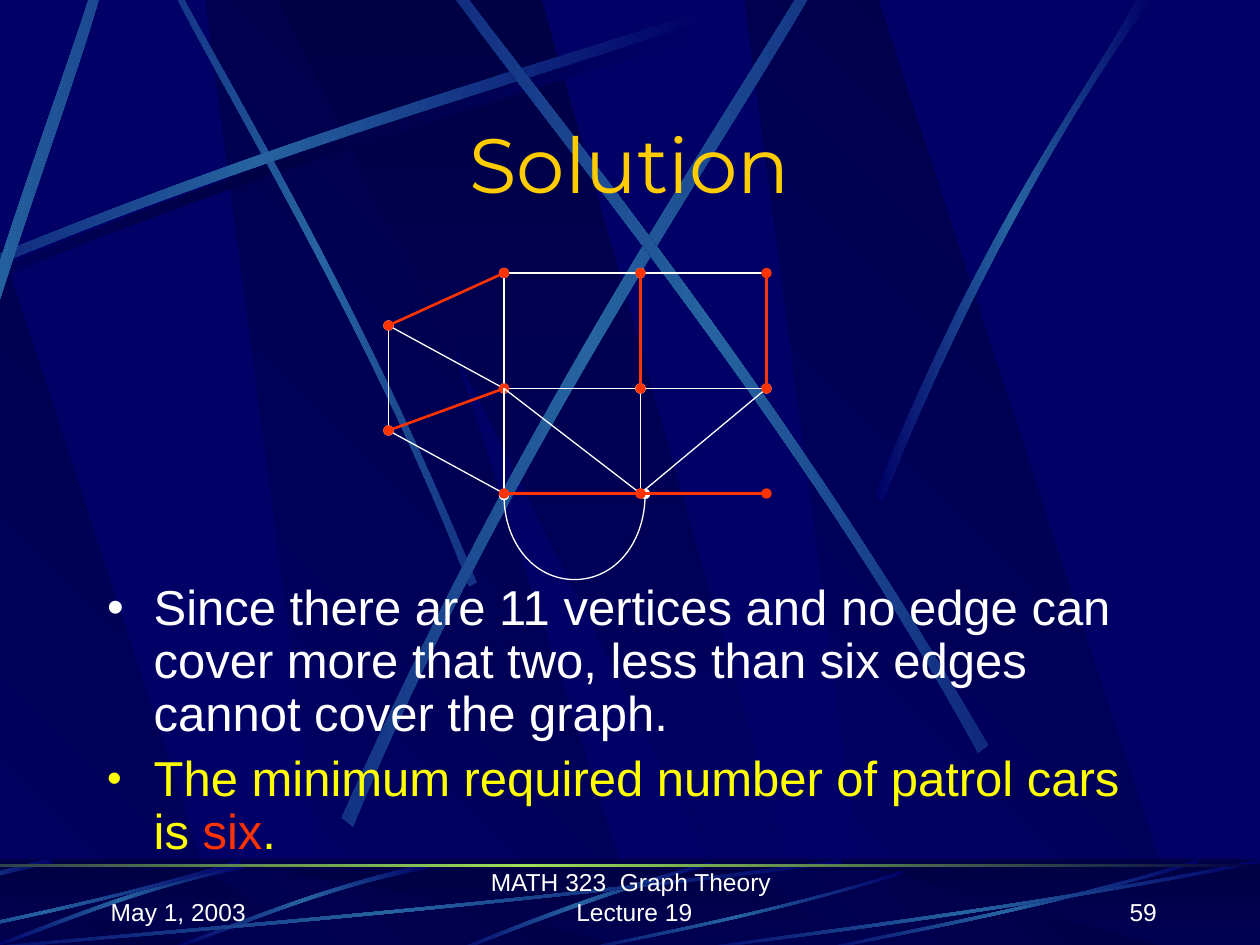
from dataclasses import dataclass
from math import cos, radians, sin

from lxml import etree
from pptx import Presentation
from pptx.dml.color import RGBColor
from pptx.enum.shapes import MSO_CONNECTOR as CONNECTOR, MSO_SHAPE as SHAPE
from pptx.enum.text import MSO_ANCHOR as ANCHOR, MSO_AUTO_SIZE as AUTO_SIZE, PP_ALIGN as ALIGN
from pptx.oxml.ns import qn
from pptx.util import Inches, Pt


@dataclass(frozen=True)
class Theme:
    navy: str = "000066"
    dark: str = "000044"
    ray: str = "2663A0"
    glow: str = "9CE157"
    gold: str = "FFCC00"
    white: str = "FFFFFF"
    yellow: str = "FFFF00"
    red: str = "FF3300"
    title_font: str = "Montserrat"
    text_font: str = "Arial"
    title_size: int = 44
    body_size: int = 28
    footer_size: int = 14


theme = Theme()
rgb = RGBColor.from_string


def paint(shape, colors, angle=0):
    """Fill a backdrop shape with evenly spaced gradient colours, without outline."""
    shape.shadow.inherit = False
    shape.line.fill.background()
    shape.fill.gradient()
    shape.fill.gradient_angle = -angle % 360
    stops = shape.element.find(".//" + qn("a:gsLst"))
    stops.getparent().set("rotWithShape", "0")
    for stop in list(stops):
        stops.remove(stop)
    for index, color in enumerate(colors):
        position = str(100000 * index // (len(colors) - 1))
        stop = etree.SubElement(stops, qn("a:gs"), pos=position)
        etree.SubElement(stop, qn("a:srgbClr"), val=color)
    backdrop.append(shape)


def outline(points, closed=True, curves=()):
    """Draw an outline; each index in curves starts three points of one cubic curve."""
    corners = [(Inches(x), Inches(y)) for x, y in points]
    builder = slide.shapes.build_freeform(*corners[0])
    builder.add_line_segments(corners[1:], close=closed)
    shape = builder.convert_to_shape()
    segments = shape.element.findall(".//" + qn("a:lnTo"))
    for first in curves:
        curve = etree.Element(qn("a:cubicBezTo"))
        segments[first - 1].addprevious(curve)
        for segment in segments[first - 1:first + 2]:
            curve.append(segment[0])
            segment.getparent().remove(segment)
    return shape


presentation = Presentation()
presentation.slide_width, presentation.slide_height = Inches(10), Inches(7.5)
slide = presentation.slides.add_slide(presentation.slide_layouts[1])
master = presentation.slide_master
master.background.fill.solid()
master.background.fill.fore_color.rgb = rgb(theme.navy)
backdrop = []

# Ribbons: two cubic edges of four points each, middle colour, rotation and its centre
sweep = [(-1.52, 2.67), (1.56, 1.25), (4.36, 0.5), (5.56, 0.09),
         (5.59, 0.15), (4.42, 0.6), (1.21, 1.42), (-1.49, 2.77)]
rays = [
    ([(x + 0.07, y + 0.08) for x, y in sweep], theme.dark, 0, (0, 0)),
    ([(3.78, 4.62), (2.86, 2.38), (1.77, 0.59), (1.35, -0.21),
      (1.31, -0.2), (1.7, 0.61), (2.96, 2.64), (3.72, 4.65)], theme.ray, 45, (2.54, 2.22)),
    (sweep, theme.ray, 0, (0, 0)),
    ([(-1.1, 6.39), (-0.56, 3.32), (0.41, 0.95), (0.74, -0.13),
      (0.81, -0.11), (0.52, 0.99), (-0.61, 3.68), (-1, 6.45)], theme.ray, 312, (-0.13, 3.16)),
    ([(2.71, 6.49), (4.15, 3.25), (5.85, 0.79), (6.51, -0.34),
      (6.58, -0.31), (5.96, 0.84), (4, 3.63), (2.8, 6.56)], theme.ray, 321, (4.66, 3.11)),
    ([(7.84, 5.91), (6.13, 2.97), (4.27, 0.75), (3.52, -0.27),
      (3.46, -0.23), (4.17, 0.81), (6.32, 3.32), (7.76, 5.97)], theme.ray, 35, (5.65, 2.85)),
    ([(6.94, 3.94), (7.82, 1.73), (8.69, 0.65), (9.02, -0.01),
      (9.14, -0.01), (8.08, 1.45), (7.3, 3.22), (7.01, 3.98)], theme.ray, 0, (0, 0)),
]
footer_rays = [([(5.64, 6.84), (4.58, 7.12), (3.89, 7.44), (3.55, 7.56),
                 (3.6, 7.57), (4.03, 7.4), (4.99, 7.02), (5.65, 6.87)], theme.ray, 0, (0, 0))]
swirl = [(3.37, 6.86), (2.44, 7.07), (1.74, 7.39), (1.41, 7.5),
         (1.42, 7.52), (1.75, 7.42), (2.55, 7.05), (3.39, 6.9)]
for shift_x, shift_y in [(0, 0), (-1.46, 0), (-2.98, -0.04)]:
    footer_rays.append(([(x + shift_x, y + shift_y) for x, y in swirl], theme.ray,
                        315, (2.41 + shift_x, 7.2 + shift_y)))
unit_swoosh = [(1, 0.04), (0.57, 0.57), (0.17, 0.85), (0, 1),
               (0, 0.98), (0.17, 0.81), (0.62, 0.5), (1, 0)]
for left, top, width, height in [(-0.52, 6.82, 7.2, 0.75), (-1.2, 6.82, 3.11, 0.75),
                                 (4.47, 6.91, 2.7, 0.67), (6.4, 6.82, 3.11, 0.75),
                                 (5.33, 6.82, 4.67, 0.75)]:
    swoosh = [(left + x * width, top + y * height) for x, y in unit_swoosh]
    footer_rays.append((swoosh, theme.ray, 0, (0, 0)))

# Backdrop: slanted panels and ribbons, first for the slide, then for the footer band
for top, bottom, ribbons in [(0, 7.54, rays), (6.91, 7.57, footer_rays)]:
    in_footer = ribbons is footer_rays
    if in_footer:
        band = slide.shapes.add_shape(SHAPE.RECTANGLE, Inches(-1.69), Inches(6.82),
                                      Inches(11.69), Inches(0.75))
        paint(band, [theme.dark, theme.navy], 90)
    for left in [1.63, -1.69, 5.91]:
        panel = outline([(left + 1, bottom), (left + 3.52, bottom),
                         (left + 1.06, top), (left, top)])
        paint(panel, [theme.navy, theme.dark], 315)
    panel = outline([(2.21, top), (6, bottom), (6.43, bottom), (4.3, top)])
    paint(panel, [theme.dark, theme.navy], 90)
    if in_footer:
        veil = slide.shapes.add_shape(SHAPE.RECTANGLE, band.left, band.top,
                                      band.width, band.height)
        veil.shadow.inherit = False
        veil.line.fill.background()
        veil.fill.solid()
        veil.fill.fore_color.rgb = rgb(theme.dark)
        veil_color = veil.element.spPr.find(".//" + qn("a:srgbClr"))
        etree.SubElement(veil_color, qn("a:alpha"), val="50000")
        backdrop.append(veil)
    for points, middle, rotation, (center_x, center_y) in ribbons:
        c, s = cos(radians(rotation)), sin(radians(rotation))
        level = [(center_x + (x - center_x) * c + (y - center_y) * s,
                  center_y - (x - center_x) * s + (y - center_y) * c) for x, y in points]
        ribbon = outline(level, curves=(1, 5))
        ribbon.rotation = rotation
        paint(ribbon, [theme.navy, middle, theme.navy])
rule = slide.shapes.add_shape(SHAPE.RECTANGLE, Inches(-1.69), Inches(6.86),
                              Inches(11.69), Inches(0.02))
paint(rule, [theme.dark, theme.glow, theme.dark])

# The backdrop belongs to the master, behind its placeholders
for index, shape in enumerate(backdrop):
    shape.element.find(".//" + qn("p:cNvPr")).set("id", str(100 + index))
    master.shapes.element.insert(2 + index, shape.element)

# Title and list
title, body = slide.shapes.title, slide.placeholders[1]
for placeholder, top, height, anchor in [(title, 0.88, 0.83, ANCHOR.MIDDLE),
                                         (body, 4.58, 2, ANCHOR.TOP)]:
    placeholder.left, placeholder.top = Inches(0.75), Inches(top)
    placeholder.width, placeholder.height = Inches(8.5), Inches(height)
    placeholder.text_frame.auto_size = AUTO_SIZE.NONE
    placeholder.text_frame.vertical_anchor = anchor

bullets = [
    (97, 0, [("Since there are 11 vertices and no edge can cover more that two, "
              "less than six edges cannot cover the graph.", theme.white)]),
    (85, 7, [("The minimum required number of patrol cars is ", theme.yellow),
             ("six", theme.red), (".", theme.yellow)]),
]
lines = []
for index, (bullet_size, space_before, runs) in enumerate(bullets):
    frame = body.text_frame
    paragraph = frame.add_paragraph() if index else frame.paragraphs[0]
    properties = paragraph._p.get_or_add_pPr()
    properties.set("marL", str(Inches(0.37)))
    properties.set("indent", str(Inches(-0.37)))
    bullet_color = etree.SubElement(properties, qn("a:buClr"))
    etree.SubElement(bullet_color, qn("a:srgbClr"), val=runs[0][1])
    etree.SubElement(properties, qn("a:buSzPct"), val=str(bullet_size * 1000))
    etree.SubElement(properties, qn("a:buChar"), char="•")
    paragraph.line_spacing = 0.9
    paragraph.space_before = Pt(space_before)
    lines.append((paragraph, runs, theme.text_font, theme.body_size))
paragraph = title.text_frame.paragraphs[0]
paragraph.alignment = ALIGN.CENTER
lines.append((paragraph, [("Solution", theme.gold)], theme.title_font, theme.title_size))

# Footer
for text, left, width, alignment in [
        ("May 1, 2003", 0.78, 2.08, ALIGN.LEFT),
        ("MATH 323  Graph Theory  Lecture 19", 3.45, 3.17, ALIGN.CENTER),
        ("59", 7.2, 2.08, ALIGN.RIGHT)]:
    box = slide.shapes.add_textbox(Inches(left), Inches(6.9), Inches(width), Inches(0.5))
    box.text_frame.word_wrap = True
    box.text_frame.vertical_anchor = ANCHOR.BOTTOM
    paragraph = box.text_frame.paragraphs[0]
    paragraph.alignment = alignment
    lines.append((paragraph, [(text, theme.white)], theme.text_font, theme.footer_size))

for paragraph, runs, font, size in lines:
    for text, color in runs:
        run = paragraph.add_run()
        run.text = text
        run.font.name, run.font.size = font, Pt(size)
        run.font.color.rgb = rgb(color)

# Graph on a grid of twelfths of an inch: rows ABC, DEF and GHI, with P and Q on the left
vertices = {"P": (37, 31), "Q": (37, 41)}
for names, y in [("ABC", 26), ("DEF", 37), ("GHI", 47)]:
    vertices.update({name: (x, y) for name, x in zip(names, [48, 61, 73])})

loop = outline([(4, 3.93), (4, 4.31), (4.25, 4.6), (4.56, 4.6),
                (4.87, 4.6), (5.12, 4.31), (5.12, 3.92)], closed=False, curves=(1, 4))
loop.fill.background()
strokes = [(loop, theme.white, True)]
white_dotted, red_cover = {"PQ", "AB", "FE", "ED"}, {"AP", "DQ", "GH", "HI", "EB", "CF"}
for edge in "PQ PD QG AB BC FE ED DA AP DQ DG GH EH HD HF HI EB CF".split():
    ends = [Inches(value / 12) for name in edge for value in vertices[name]]
    connector = slide.shapes.add_connector(CONNECTOR.STRAIGHT, *ends)
    color = theme.red if edge in red_cover else theme.white
    strokes.append((connector, color, edge in white_dotted | red_cover))
for stroke, color, dotted in strokes:
    stroke.line.color.rgb = rgb(color)
    stroke.line.width = Pt(1.5 if color == theme.red else 0.75)
    if dotted:
        for tag in ("a:headEnd", "a:tailEnd"):
            etree.SubElement(stroke.element.spPr.find(qn("a:ln")), qn(tag), type="oval")
    etree.SubElement(stroke.element.spPr, qn("a:effectLst"))

presentation.save("out.pptx")
